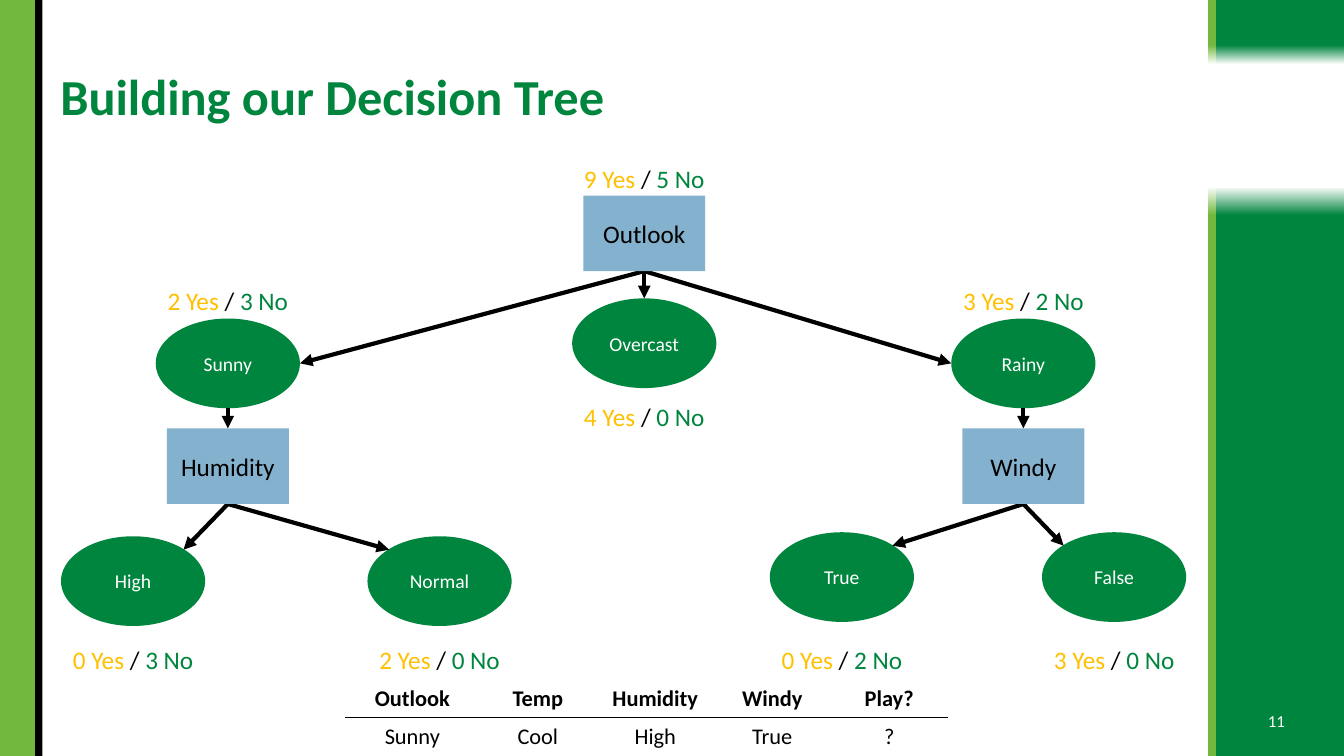
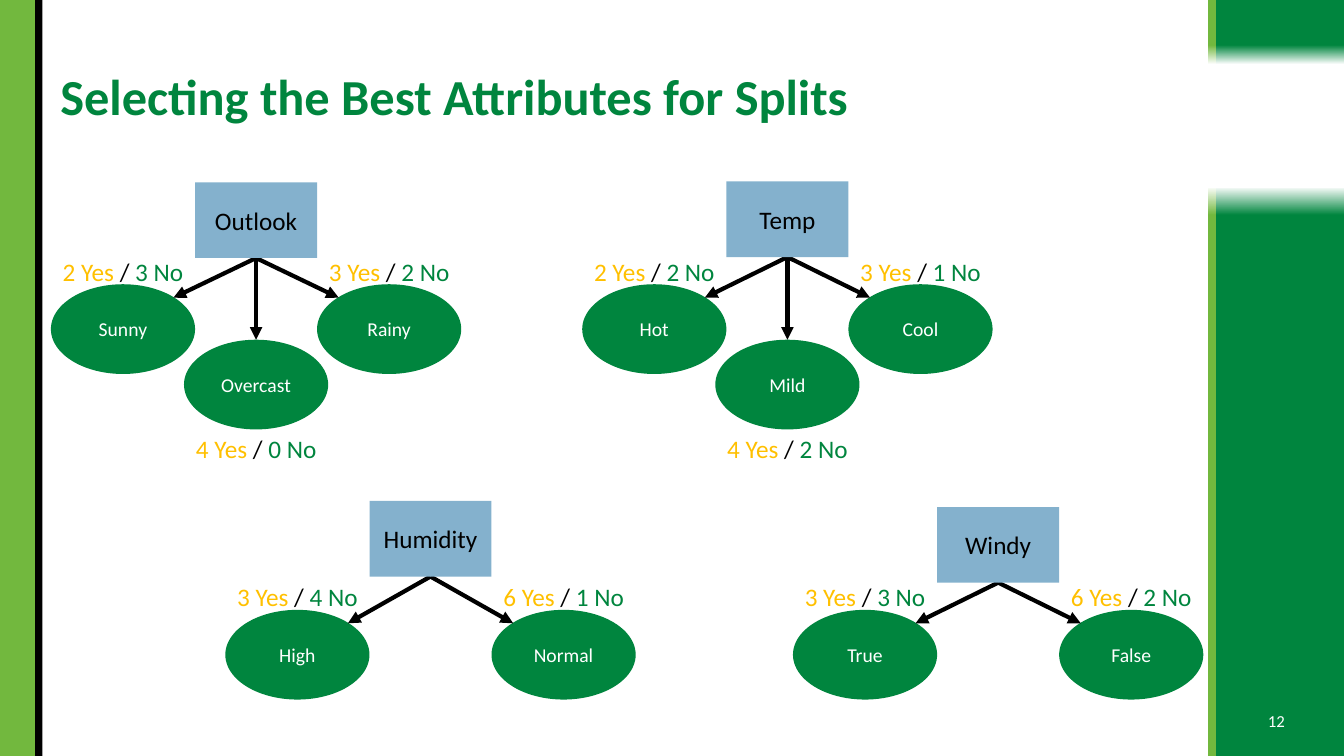
import dataclasses

import lxml.etree
import pptx
import pptx.dml.color
import pptx.enum.dml
import pptx.enum.shapes
import pptx.enum.text
import pptx.oxml.ns
import pptx.util

Inches = pptx.util.Inches
Pt = pptx.util.Pt
SHAPE = pptx.enum.shapes.MSO_SHAPE
ALIGN = pptx.enum.text.PP_ALIGN
ANCHOR = pptx.enum.text.MSO_ANCHOR
qn = pptx.oxml.ns.qn


@dataclasses.dataclass(frozen=True)
class Theme:
    """Colours, type sizes and node sizes shared by the slides."""
    font: str = "Calibri"
    green: str = "00853E"
    lime: str = "72B83E"
    blue: str = "84B1CD"
    gold: str = "FFC000"
    black: str = "000000"
    white: str = "FFFFFF"
    title: int = 36
    label: int = 18
    cell: int = 16
    value: int = 14
    number: int = 12
    line: int = 3
    box_w: float = 1.21
    box_h: float = 0.75
    oval_w: float = 1.43
    oval_h: float = 0.89


T = Theme()

TOUCH = {"top": (0.5, 0), "left": (0, 0.5), "right": (1, 0.5),
         "upper left": (0.15, 0.15), "upper right": (0.85, 0.15)}


def rgb(color):
    """Turn a hex string into a colour."""
    return pptx.dml.color.RGBColor.from_string(color)


def add_run(p, text, size, color, bold=False):
    """Add one styled run to a paragraph."""
    r = p.add_run()
    r.text = text
    r.font.name = T.font
    r.font.size = Pt(size)
    r.font.bold = bold
    r.font.color.rgb = rgb(color)


def add_shape(s, kind, x, y, w, h, fill=None):
    """Add a preset shape without outline or shadow."""
    sp = s.shapes.add_shape(kind, Inches(x), Inches(y), Inches(w), Inches(h))
    sp.shadow.inherit = False
    sp.line.fill.background()
    if fill:
        sp.fill.solid()
        sp.fill.fore_color.rgb = rgb(fill)
    return sp


def add_node(s, kind, x, y, w, h, fill, text, size, color):
    """Add a shape with a centred label."""
    tf = add_shape(s, kind, x, y, w, h, fill).text_frame
    tf.word_wrap = True
    tf.vertical_anchor = ANCHOR.MIDDLE
    p = tf.paragraphs[0]
    p.alignment = ALIGN.CENTER
    add_run(p, text, size, color)


def add_text(s, x, y, w, h, runs, size, align=ALIGN.CENTER, anchor=ANCHOR.MIDDLE, bold=False):
    """Add a one-paragraph text box from (text, colour) runs."""
    tf = s.shapes.add_textbox(Inches(x), Inches(y), Inches(w), Inches(h)).text_frame
    tf.word_wrap = True
    tf.vertical_anchor = anchor
    p = tf.paragraphs[0]
    p.alignment = align
    for text, color in runs:
        add_run(p, text, size, color, bold)
    return p


def add_arrow(s, x1, y1, x2, y2):
    """Add a straight arrow between two points."""
    line = s.shapes.add_connector(pptx.enum.shapes.MSO_CONNECTOR.STRAIGHT,
                                  Inches(x1), Inches(y1), Inches(x2), Inches(y2))
    line.line.color.rgb = rgb(T.black)
    line.line.width = Pt(T.line)
    lxml.etree.SubElement(line.line._get_or_add_ln(), qn("a:tailEnd"), type="triangle")
    lxml.etree.SubElement(line._element.spPr, qn("a:effectLst"))


def add_fade(s, x, y, w, h, color, solid, rotation=0):
    """Add a band that fades to white at one end."""
    sp = add_shape(s, SHAPE.RECTANGLE, x, y, w, h)
    sp.rotation = rotation
    sp.fill.gradient()
    sp.fill.gradient_angle = 270
    for stop, position, shade in zip(sp.fill.gradient_stops, (solid, 1), (color, T.white)):
        stop.position = position
        stop.color.rgb = rgb(shade)


def add_base(prs, title, number):
    """Add a slide with its side bands, title and number."""
    s = prs.slides.add_slide(prs.slide_layouts[6])
    for x, w, color in ((12.06, 1.27, T.green), (11.98, 0.08, T.lime)):
        add_fade(s, x, 0, w, 0.64, color, 0.7)
        add_fade(s, x, 1.85, w, 5.65, color, 0.95, 180)
    add_shape(s, SHAPE.RECTANGLE, 0, 0, 0.35, 7.5, T.lime)
    add_shape(s, SHAPE.RECTANGLE, 0.35, 0, 0.07, 7.5, T.black)
    p = add_text(s, 0.5, 0.4, 11.4, 1.16, [(title, T.green)], T.title, ALIGN.LEFT, bold=True)
    p.line_spacing = 0.9
    add_text(s, 12.4, 6.95, 0.52, 0.4, [(str(number), T.white)], T.number)
    return s


def add_counts(s, cx, y, yes, no):
    """Add a centred tally of yes and no."""
    runs = [(f"{yes} Yes ", T.gold), ("/ ", T.black), (f"{no} No", T.green)]
    add_text(s, cx - T.oval_w / 2, y, T.oval_w, 0.4, runs, T.label, anchor=ANCHOR.TOP)


def add_split(s, cx, y, attribute, branches):
    """Add an attribute box at a top centre point, with arrows to its values."""
    for dx, dy, value, touch, tally, tally_dy in branches:
        left, top = cx + dx - T.oval_w / 2, y + dy
        fx, fy = TOUCH[touch]
        add_node(s, SHAPE.OVAL, left, top, T.oval_w, T.oval_h, T.green, value, T.value, T.white)
        add_arrow(s, cx, y + T.box_h, left + fx * T.oval_w, top + fy * T.oval_h)
        add_counts(s, cx + dx, top + tally_dy, *tally)
    add_node(s, SHAPE.RECTANGLE, cx - T.box_w / 2, y, T.box_w, T.box_h,
             T.blue, attribute, T.label, T.black)


def add_fan(s, cx, y, attribute, drop, left, right, middle=None):
    """Add a compact split with two outer values and an optional middle one."""
    branches = [(-1.32, drop, left[0], "upper right", left[1], -0.33),
                (1.32, drop, right[0], "upper left", right[1], -0.33)]
    if middle:
        branches.append((0, drop + 0.55, middle[0], "top", middle[1], 0.88))
    add_split(s, cx, y, attribute, branches)


def add_sample(s, x, y, widths, heights, rows):
    """Add the sample table with a rule below its header."""
    table = s.shapes.add_table(len(rows), len(widths), Inches(x), Inches(y),
                               Inches(sum(widths)), Inches(sum(heights))).table
    table.first_row = table.horz_banding = False
    for column, width in zip(table.columns, widths):
        column.width = Inches(width)
    for i, (row, height) in enumerate(zip(rows, heights)):
        table.rows[i].height = Inches(height)
        for j, text in enumerate(row):
            cell = table.cell(i, j)
            cell.fill.solid()
            cell.fill.fore_color.rgb = rgb(T.white)
            cell.vertical_anchor = ANCHOR.BOTTOM
            p = cell.text_frame.paragraphs[0]
            p.alignment = ALIGN.CENTER
            add_run(p, text, T.cell, T.black, bold=i == 0)
            ln = lxml.etree.Element(qn("a:lnT" if i else "a:lnB"), w=str(Pt(1)))
            fill = lxml.etree.SubElement(ln, qn("a:solidFill"))
            lxml.etree.SubElement(fill, qn("a:srgbClr"), val=T.black)
            cell._tc.get_or_add_tcPr().insert(0, ln)


def tree_slide(prs):
    """Build the slide with the full decision tree."""
    s = add_base(prs, "Building our Decision Tree", 11)
    cx, y, reach, level = 6.39, 1.94, 3.94, 4.25
    sunny_x, rainy_x = 2.26, 10.15
    add_counts(s, cx, 1.57, 9, 5)
    add_split(s, cx, y, "Outlook", [
        (sunny_x - cx, 1.22, "Sunny", "right", (2, 3), -0.38),
        (rainy_x - cx, 1.22, "Rainy", "left", (3, 2), -0.38),
        (0, 1.02, "Overcast", "top", (4, 0), 0.97)])
    for x in (sunny_x, rainy_x):
        add_arrow(s, x, 4.05, x, level)
    add_split(s, sunny_x, level, "Humidity", [
        (-0.94, 1.07, "High", "upper right", (0, 3), 1.02),
        (2.1, 1.07, "Normal", "upper left", (2, 0), 1.02)])
    add_split(s, rainy_x, level, "Windy", [
        (-1.8, 1.03, "True", "upper right", (0, 2), 1.06),
        (0.9, 1.03, "False", "upper left", (3, 0), 1.06)])
    add_sample(s, 3.43, 6.74, [1.32, 1.17, 1.16, 1.16, 1.16], [0.38, 0.3], [
        ["Outlook", "Temp", "Humidity", "Windy", "Play?"],
        ["Sunny", "Cool", "High", "True", "?"]])


def splits_slide(prs):
    """Build the slide that compares the four splits."""
    s = add_base(prs, "Selecting the Best Attributes for Splits", 12)
    add_fan(s, 2.54, 1.81, "Outlook", 1.01,
            ("Sunny", (2, 3)), ("Rainy", (3, 2)), ("Overcast", (4, 0)))
    add_fan(s, 7.81, 1.8, "Temp", 1.02,
            ("Hot", (2, 2)), ("Cool", (3, 1)), ("Mild", (4, 2)))
    add_fan(s, 4.27, 4.97, "Humidity", 1.08, ("High", (3, 4)), ("Normal", (6, 1)))
    add_fan(s, 9.9, 5.03, "Windy", 1.02, ("True", (3, 3)), ("False", (6, 2)))


def main():
    """Build and save the presentation."""
    prs = pptx.Presentation()
    prs.slide_width = Inches(13.33)
    prs.slide_height = Inches(7.5)
    tree_slide(prs)
    splits_slide(prs)
    prs.save("out.pptx")


if __name__ == "__main__":
    main()
